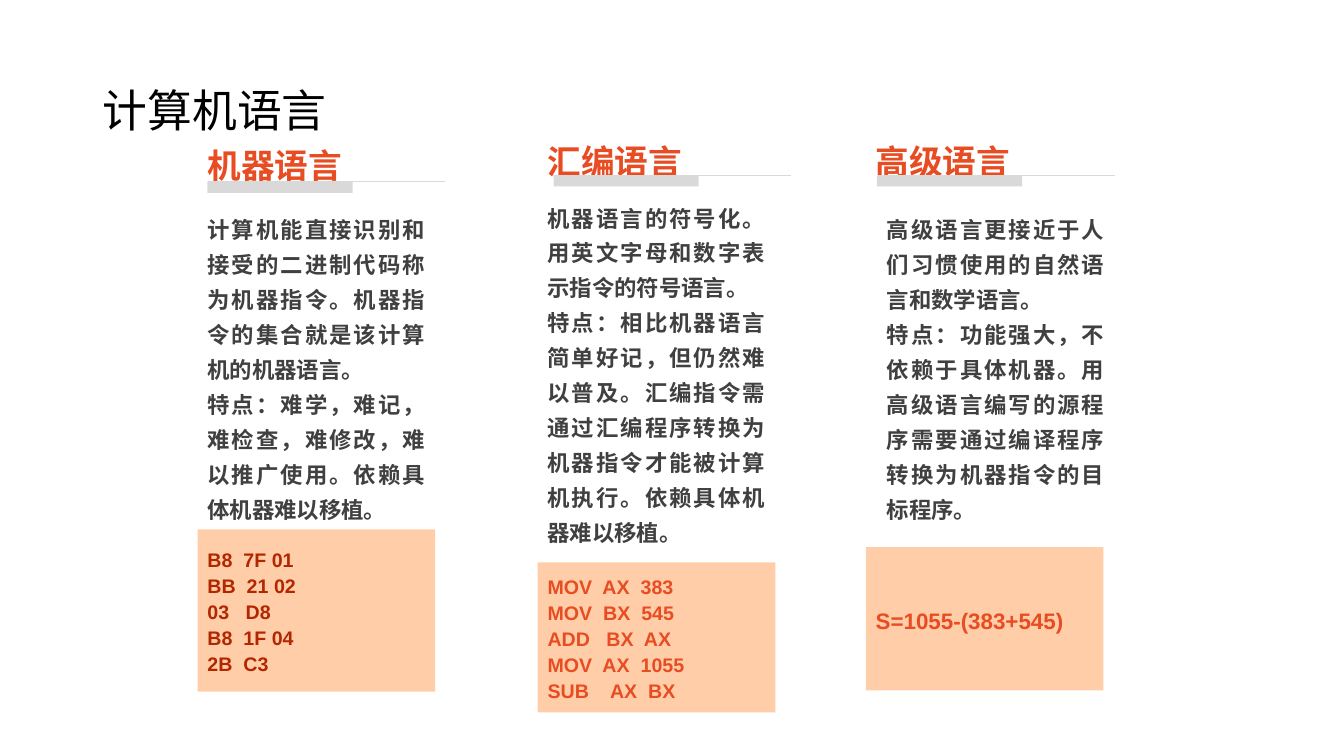
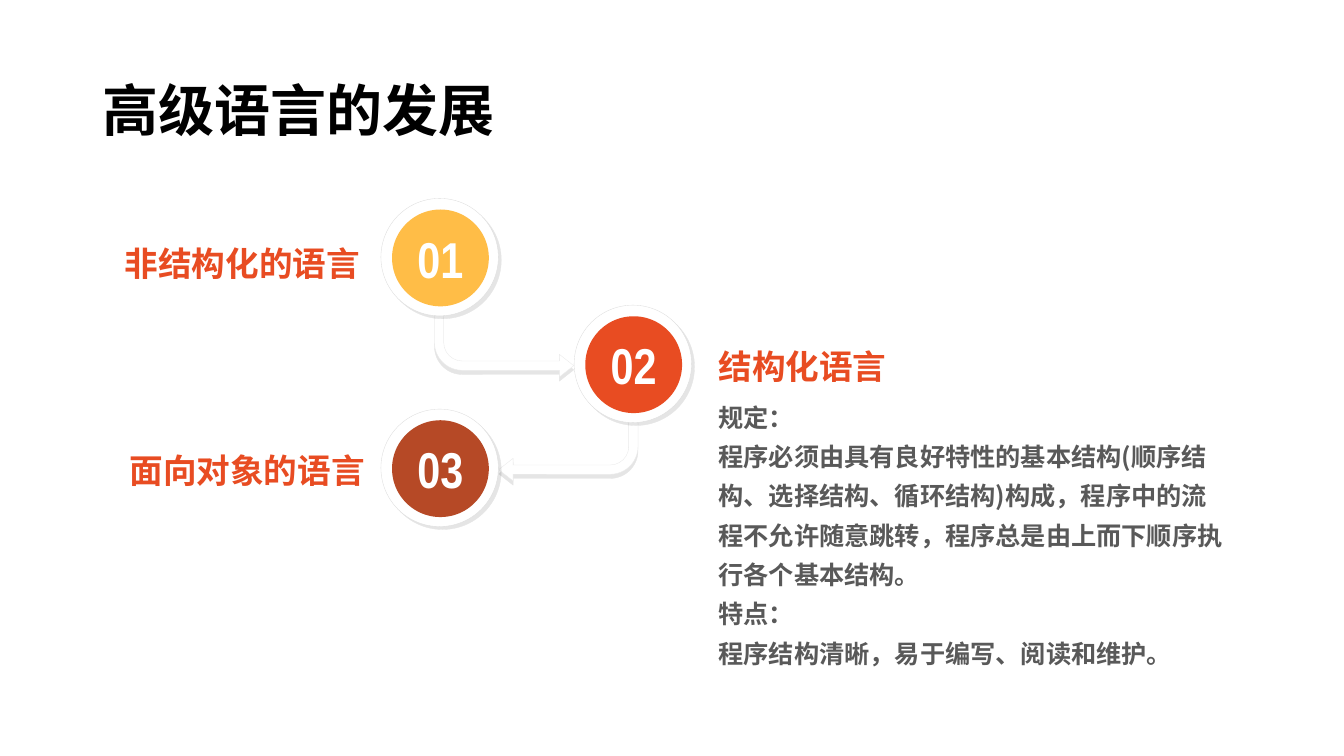
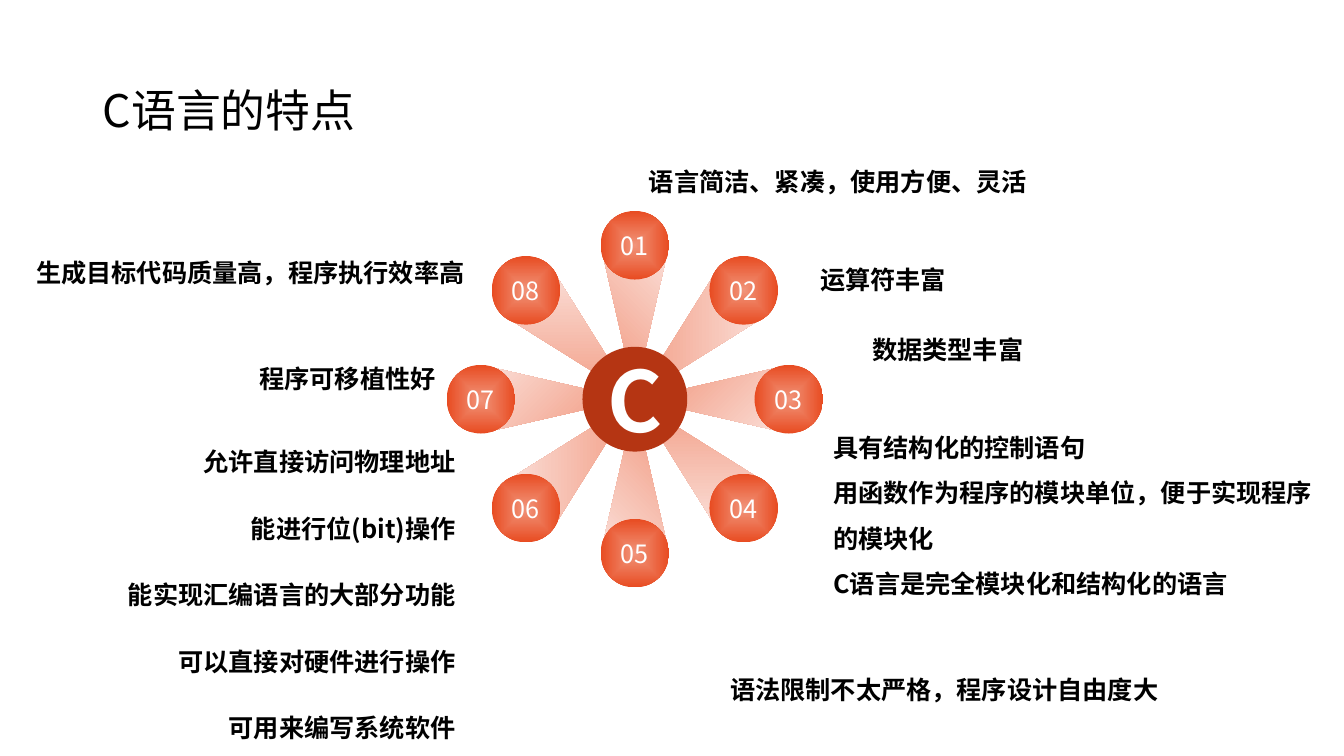
from math import cos, radians, sin

from lxml.etree import SubElement
from pptx import Presentation
from pptx.dml.color import RGBColor
from pptx.enum.lang import MSO_LANGUAGE_ID
from pptx.enum.shapes import MSO_CONNECTOR, MSO_SHAPE
from pptx.enum.text import MSO_ANCHOR, PP_ALIGN
from pptx.oxml.ns import qn
from pptx.util import Cm, Pt

# Shared style
CJK, CODE_FONT, NUMBER_FONT = "Noto Sans CJK SC", "Arial", "Arial Narrow"
BLACK = RGBColor(0x00, 0x00, 0x00)
WHITE = RGBColor(0xFF, 0xFF, 0xFF)
ORANGE = RGBColor(0xE8, 0x4C, 0x22)
AMBER = RGBColor(0xFF, 0xBD, 0x47)
BROWN = RGBColor(0xB6, 0x49, 0x26)
BRICK = RGBColor(0xB5, 0x35, 0x13)
DEEP_RED = RGBColor(0xB2, 0x26, 0x00)
PEACH = RGBColor(0xFF, 0xCE, 0xA9)
SALMON = RGBColor(0xF1, 0x94, 0x7A)
PALE_SALMON = RGBColor(0xFA, 0xDB, 0xD3)
DARK_GREY = RGBColor(0x40, 0x40, 0x40)
MID_GREY = RGBColor(0x59, 0x59, 0x59)
RULE_GREY = RGBColor(0xD9, 0xD9, 0xD9)
RING_GREY = RGBColor(0xDD, 0xDD, 0xDD)
ARROW_GREY = RGBColor(0xEA, 0xEA, 0xEA)

LEFT, CENTER, RIGHT = PP_ALIGN.LEFT, PP_ALIGN.CENTER, PP_ALIGN.RIGHT
JUSTIFY = PP_ALIGN.JUSTIFY
TOP, MIDDLE, BOTTOM = MSO_ANCHOR.TOP, MSO_ANCHOR.MIDDLE, MSO_ANCHOR.BOTTOM


def write(sp, lines, size, color, bold=True, font=CJK, align=LEFT,
          anchor=TOP, spacing=1.0, inset=None):
    """Fill a shape with one paragraph for each line."""
    tf = sp.text_frame
    tf.word_wrap = True
    tf.vertical_anchor = anchor
    if inset is not None:
        tf.margin_left = tf.margin_right = Cm(inset)
        tf.margin_top = tf.margin_bottom = Cm(inset)
    for i, line in enumerate(lines):
        p = tf.add_paragraph() if i else tf.paragraphs[0]
        p.alignment = align
        p.line_spacing = spacing
        r = p.add_run()
        r.text = line
        r.font.size, r.font.bold, r.font.name = Pt(size), bold, font
        r.font.color.rgb = color
        r.font.language_id = MSO_LANGUAGE_ID.SIMPLIFIED_CHINESE
        SubElement(r.font._element, qn("a:ea")).set("typeface", font)


def add_text(slide, x, y, w, h, lines, size, color, **style):
    sp = slide.shapes.add_textbox(Cm(x), Cm(y), Cm(w), Cm(h))
    write(sp, lines, size, color, **style)


def add_box(slide, kind, x, y, w, h, fill=None, line=None):
    sp = slide.shapes.add_shape(kind, Cm(x), Cm(y), Cm(w), Cm(h))
    sp.shadow.inherit = False
    if fill is not None:
        sp.fill.solid()
        sp.fill.fore_color.rgb = fill
    if line is None:
        sp.line.fill.background()
    else:
        sp.line.color.rgb = line
        sp.line.width = Pt(0.25)
    return sp


def flip(sp, *axes):
    for axis in axes:
        sp._element.spPr.find(qn("a:xfrm")).set("flip" + axis, "1")


def add_shadow(sp, angle):
    effects = sp._element.spPr.find(qn("a:effectLst"))
    shadow = SubElement(effects, qn("a:outerShdw"), blurRad="0",
                        dist=str(Pt(3)), dir=str(angle * 60000),
                        algn="tl", rotWithShape="0")
    color = SubElement(shadow, qn("a:srgbClr"), val=str(BLACK))
    SubElement(color, qn("a:alpha"), val="10000")


def set_gradient(sp, start, end, angle=None):
    """Linear gradient at an angle, or from the centre outwards without one."""
    sp.fill.gradient()
    grad = sp._element.spPr.find(qn("a:gradFill"))
    for child in list(grad):
        grad.remove(child)
    stops = SubElement(grad, qn("a:gsLst"))
    for pos, color in ((0, start), (99000, end)):
        stop = SubElement(stops, qn("a:gs"), pos=str(pos))
        SubElement(stop, qn("a:srgbClr"), val=str(color))
    if angle is None:
        shade = SubElement(grad, qn("a:path"), path="shape")
        SubElement(shade, qn("a:fillToRect"), l="50000", t="50000",
                   r="50000", b="50000")
    else:
        SubElement(grad, qn("a:lin"), ang=str(angle * 60000), scaled="0")


def new_slide(prs, title, size=32, bold=False):
    slide = prs.slides.add_slide(prs.slide_layouts[6])
    add_text(slide, 2.34, 1.02, 29.21, 3.68, [title], size, BLACK,
             bold=bold, anchor=MIDDLE, spacing=0.9)
    return slide


# Slide 1: three kinds of language
def language_column(slide, x, y, name, text, code, body, sample, rule,
                    code_color=ORANGE, code_size=14):
    """body: dx, dy, height; sample: dy, height; rule: dx, dy."""
    w = 5.99
    add_text(slide, x, y, w, 1.19, [name], 24, ORANGE, anchor=BOTTOM)
    dx, dy, h = body
    add_text(slide, x + dx, y + dy, w, h, text, 16, DARK_GREY,
             align=JUSTIFY, spacing=1.3)
    # Code sample
    dy, h = sample
    sp = add_box(slide, MSO_SHAPE.RECTANGLE, x, y + dy, w, h, PEACH)
    write(sp, code, code_size, code_color, font=CODE_FONT, align=JUSTIFY,
          anchor=MIDDLE, spacing=1.1)
    # Rule under the heading
    rx, ry = x + rule[0], y + rule[1]
    add_box(slide, MSO_SHAPE.RECTANGLE, rx, ry, 3.66, 0.28, RULE_GREY)
    line = slide.shapes.add_connector(MSO_CONNECTOR.STRAIGHT, Cm(rx), Cm(ry),
                                      Cm(rx + w), Cm(ry))
    line.line.color.rgb = RULE_GREY
    line.line.width = Pt(0.5)
    SubElement(line._element.spPr, qn("a:effectLst"))


def languages_slide(prs):
    slide = new_slide(prs, "计算机语言")
    language_column(
        slide, 4.98, 3.61, "机器语言",
        ["计算机能直接识别和接受的二进制代码称为机器指令。机器指令的集合就是该计算机的机器语言。",
         "特点：难学，难记，难检查，难修改，难以推广使用。依赖具体机器难以移植。"],
        ["B8  7F 01", "BB  21 02", "03   D8", "B8  1F 04", "2B  C3"],
        body=(0, 1.52, 6.81), sample=(9.73, 4.09), rule=(0.25, 0.97),
        code_color=DEEP_RED)
    language_column(
        slide, 13.55, 3.51, "汇编语言",
        ["机器语言的符号化。用英文字母和数字表示指令的符号语言。",
         "特点：相比机器语言简单好记，但仍然难以普及。汇编指令需通过汇编程序转换为"
         "机器指令才能被计算机执行。依赖具体机器难以移植。"],
        ["MOV  AX  383", "MOV  BX  545", "ADD   BX  AX", "MOV  AX  1055",
         "SUB    AX  BX"],
        body=(0, 1.32, 8.51), sample=(10.66, 3.78), rule=(0.4, 0.91))
    language_column(
        slide, 21.82, 3.51, "高级语言",
        ["高级语言更接近于人们习惯使用的自然语言和数学语言。",
         "特点：功能强大，不依赖于具体机器。用高级语言编写的源程序需要通过编译程序"
         "转换为机器指令的目标程序。"],
        ["S=1055-(383+545)"],
        body=(0.28, 1.62, 8.18), sample=(10.28, 3.61), rule=(0.28, 0.91),
        code_size=16)


# Slide 2: numbered steps joined by bent arrows
def step_arrow(slide, x, y, *axes):
    sp = add_box(slide, MSO_SHAPE.BENT_ARROW, x, y, 3.51, 1.6, WHITE,
                 ARROW_GREY)
    for i, value in enumerate((0.146, 0.178, 0.226, 0.438)):
        sp.adjustments[i] = value
    flip(sp, *axes)
    add_shadow(sp, 90)


def step(slide, x, y, number, color):
    ring = add_box(slide, MSO_SHAPE.OVAL, x, y, 2.96, 2.96, WHITE, RING_GREY)
    add_shadow(ring, 45)
    disc = add_box(slide, MSO_SHAPE.OVAL, x + 0.28, y + 0.28, 2.44, 2.44,
                   color)
    write(disc, [number], 36, WHITE, font=NUMBER_FONT, align=CENTER,
          anchor=MIDDLE, inset=0)


def development_slide(prs):
    slide = new_slide(prs, "高级语言的发展", size=40, bold=True)
    step_arrow(slide, 12.57, 10.52, "H", "V")
    step_arrow(slide, 10.95, 7.9, "V")
    step(slide, 9.6, 5.0, "01", AMBER)
    step(slide, 14.47, 7.69, "02", ORANGE)
    step(slide, 9.6, 10.31, "03", BROWN)
    # Step names
    for x, y, name, align in ((1.6, 6.02, "非结构化的语言", RIGHT),
                              (1.72, 11.23, "面向对象的语言", RIGHT),
                              (17.86, 8.61, "结构化语言", LEFT)):
        add_text(slide, x, y, 7.72, 1.24, [name], 24, ORANGE, align=align,
                 anchor=MIDDLE)
    # Details of step 02
    add_text(slide, 17.86, 9.78, 13.36, 7.47,
             ["规定：",
              "程序必须由具有良好特性的基本结构(顺序结构、选择结构、循环结构)构成，"
              "程序中的流程不允许随意跳转，程序总是由上而下顺序执行各个基本结构。",
              "特点：",
              "程序结构清晰，易于编写、阅读和维护。"],
             18, MID_GREY, spacing=1.3)


# Slide 3: features around a hub
def feature_wheel(slide, cx, cy, count=8):
    def centred(kind, angle, radius, w, h, fill=None):
        x = cx + radius * sin(radians(angle))
        y = cy - radius * cos(radians(angle))
        return add_box(slide, kind, x - w / 2, y - h / 2, w, h, fill)

    angles = [360 / count * i for i in range(count)]
    for angle in angles:
        ray = centred(MSO_SHAPE.ISOSCELES_TRIANGLE, angle, 1.86, 1.6, 3.5)
        ray.rotation = angle
        flip(ray, "V")
        set_gradient(ray, SALMON, PALE_SALMON, 45)
    for i, angle in enumerate(angles, 1):
        ball = centred(MSO_SHAPE.OVAL, angle, 3.88, 1.73, 1.73)
        set_gradient(ball, SALMON, ORANGE)
        write(ball, [f"{i:02}"], 18, WHITE, bold=False, align=CENTER,
              anchor=MIDDLE, inset=0)
    hub = centred(MSO_SHAPE.OVAL, 0, 0, 2.64, 2.64, BRICK)
    write(hub, ["C"], 60, WHITE, align=CENTER, anchor=MIDDLE, inset=0)


def features_slide(prs):
    slide = new_slide(prs, "C语言的特点")
    feature_wheel(slide, 16.0, 10.06)
    # Left, top, width, height, alignment, anchor, line spacing, lines
    features = (
        (15.59, 4.06, 11.05, 1.02, CENTER, BOTTOM, 1.2,
         ["语言简洁、紧凑，使用方便、灵活"]),
        (20.42, 6.45, 5.44, 1.02, LEFT, MIDDLE, 1.2, ["运算符丰富"]),
        (21.73, 8.23, 5.72, 1.02, LEFT, MIDDLE, 1.2, ["数据类型丰富"]),
        (20.75, 12.29, 13.0, 1.02, LEFT, MIDDLE, 1.5,
         ["具有结构化的控制语句",
          "用函数作为程序的模块单位，便于实现程序的模块化",
          "C语言是完全模块化和结构化的语言"]),
        (17.32, 16.71, 12.95, 1.02, CENTER, TOP, 1.2,
         ["语法限制不太严格，程序设计自由度大"]),
        (1.19, 11.94, 10.54, 5.18, RIGHT, MIDDLE, 2.2,
         ["允许直接访问物理地址", "能进行位(bit)操作",
          "能实现汇编语言的大部分功能", "可以直接对硬件进行操作",
          "可用来编写系统软件"]),
        (4.7, 8.94, 6.53, 1.02, RIGHT, MIDDLE, 1.2, ["程序可移植性好"]),
        (0.66, 5.94, 11.61, 1.7, LEFT, MIDDLE, 1.2,
         ["生成目标代码质量高，程序执行效率高"]),
    )
    for x, y, w, h, align, anchor, spacing, lines in features:
        add_text(slide, x, y, w, h, lines, 18, BLACK, align=align,
                 anchor=anchor, spacing=spacing)


def main():
    prs = Presentation()
    prs.slide_width, prs.slide_height = Cm(33.87), Cm(19.05)
    languages_slide(prs)
    development_slide(prs)
    features_slide(prs)
    prs.save("out.pptx")


if __name__ == "__main__":
    main()
